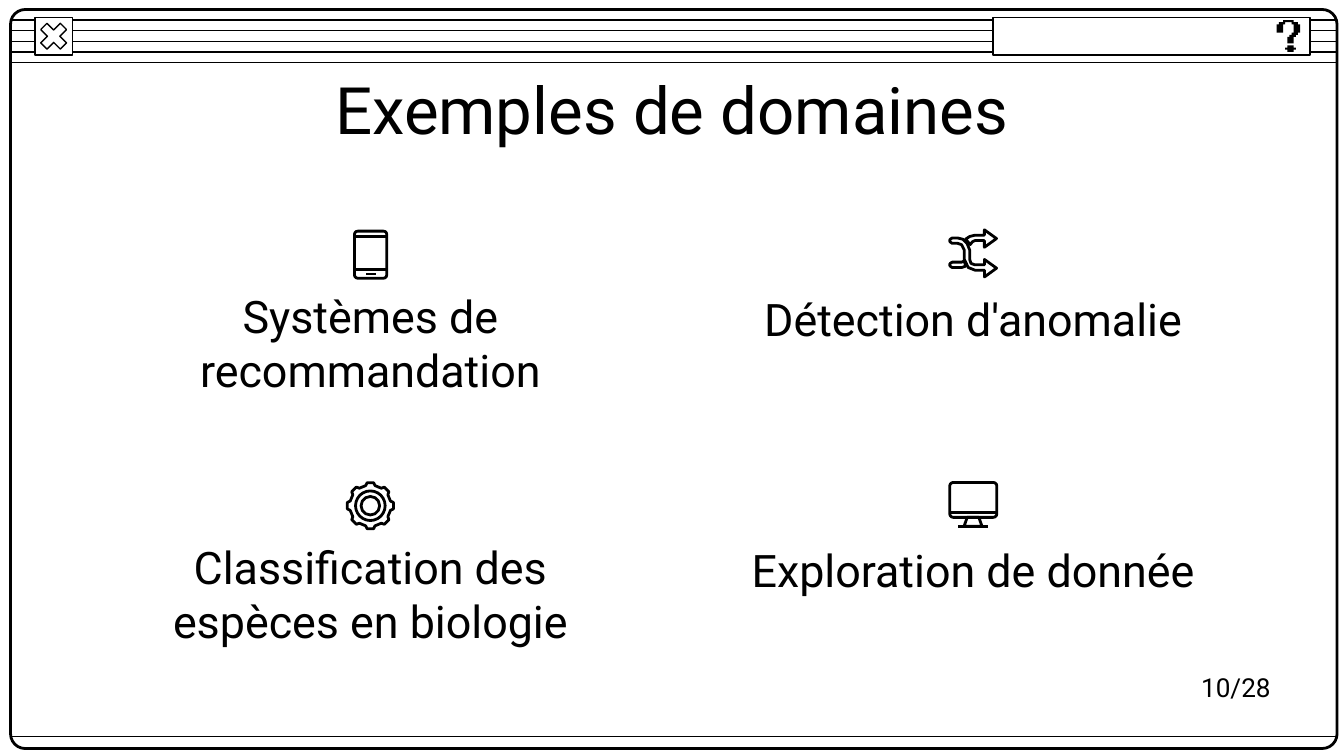
from math import cos, radians, sin

from lxml.etree import SubElement
from pptx import Presentation
from pptx.dml.color import RGBColor
from pptx.enum.shapes import MSO_CONNECTOR, MSO_SHAPE
from pptx.enum.text import MSO_ANCHOR, PP_ALIGN
from pptx.oxml.ns import qn
from pptx.util import Cm, Pt

BLACK = RGBColor(0x00, 0x00, 0x00)
WHITE = RGBColor(0xFF, 0xFF, 0xFF)
FONT = "Roboto"
THIN, BOLD = 0.75, 1.5
ICON = 0.94
PIXEL = 0.04
GRID = 0.0254

HOOK = [(3, 0), (3, 1), (1, 1), (1, 2), (0, 2), (0, 6), (3, 6), (3, 2), (4, 2), (4, 1), (7, 1),
        (7, 2), (8, 2), (8, 6), (7, 6), (7, 7), (6, 7), (6, 8), (5, 8), (5, 11), (8, 11), (8, 8),
        (9, 8), (9, 7), (10, 7), (10, 6), (11, 6), (11, 2), (10, 2), (10, 1), (8, 1), (8, 0)]
DOT = [(5, 12), (5, 13), (4, 13), (4, 14), (5, 14), (5, 15),
       (8, 15), (8, 14), (9, 14), (9, 13), (8, 13), (8, 12)]
UPPER_ARROW = [(27, 1), (36, 7.5), (27, 14), (27, 9), (20, 9), (18, 10), (16.5, 12),
               (13, 8), (16, 6), (20, 5), (27, 5)]
LOWER_TAIL = [(12, 24), (13, 28), (10, 29), (7, 29), (3, 29), (1.5, 28), (1, 27),
              (1.5, 26), (3, 25), (7, 25), (10, 25)]
LOWER_ARROW = [(7, 7), (11, 8), (14, 11), (16, 16), (16, 23), (17, 26), (20, 27), (27, 27),
               (27, 23), (36, 29.5), (27, 36), (27, 31), (20, 31), (15, 29), (12, 23), (12, 16),
               (10, 12), (7, 11), (3, 11), (1.5, 10), (1, 9), (1.5, 8), (3, 7)]


def paint(shape, fill=None, line=BLACK, weight=THIN):
    """Give a shape its fill and outline, without a shadow."""
    shape.shadow.inherit = False
    if fill is None:
        shape.fill.background()
    else:
        shape.fill.solid()
        shape.fill.fore_color.rgb = fill
    if line is None:
        shape.line.fill.background()
    else:
        shape.line.color.rgb = line
        shape.line.width = Pt(weight)


def add_preset(shapes, kind, left, top, width, height, adjust=None, **style):
    """Add a painted preset shape, measured in centimetres."""
    shape = shapes.add_shape(kind, Cm(left), Cm(top), Cm(width), Cm(height))
    if adjust is not None:
        shape.adjustments[0] = adjust
    paint(shape, **style)


def add_rule(shapes, left, right, y, weight=THIN):
    """Add a horizontal black line."""
    rule = shapes.add_connector(MSO_CONNECTOR.STRAIGHT, Cm(left), Cm(y), Cm(right), Cm(y))
    rule.line.color.rgb = BLACK
    rule.line.width = Pt(weight)
    SubElement(rule._element.spPr, qn("a:effectLst"))


def add_outline(shapes, left, top, points, unit=1, **style):
    """Add a closed polygon whose points are multiples of a unit in centimetres."""
    start, *rest = [(Cm(left + x * unit), Cm(top + y * unit)) for x, y in points]
    builder = shapes.build_freeform(*start, scale=1.0)
    builder.add_line_segments(rest, close=True)
    paint(builder.convert_to_shape(), **style)


def write(shape, text, size, left, top, width, height, align=PP_ALIGN.CENTER):
    """Place a text shape and format its single paragraph."""
    box = {"left": left, "top": top, "width": width, "height": height}
    for name, value in box.items():
        setattr(shape, name, Cm(value))
    frame = shape.text_frame
    frame.text = text
    layout = {"word_wrap": True, "vertical_anchor": MSO_ANCHOR.MIDDLE}
    layout |= {f"margin_{side}": Cm(0.25) for side in ("left", "right", "top", "bottom")}
    for name, value in layout.items():
        setattr(frame, name, value)
    paragraph = frame.paragraphs[0]
    paragraph.alignment = align
    font = paragraph.runs[0].font
    for name, value in {"name": FONT, "size": Pt(size), "bold": False}.items():
        setattr(font, name, value)
    font.color.rgb = BLACK


def draw_window(shapes, left, top, width, height):
    """Draw the window frame with its striped title bar and buttons."""
    right = left + width
    for stripe in range(5):
        add_rule(shapes, left, right, top + 0.2 + 0.2 * stripe)
    add_preset(shapes, MSO_SHAPE.ROUNDED_RECTANGLE, left, top, width, height, 0.02, weight=BOLD)
    add_rule(shapes, left, right, top + height - 0.23)
    for kind, adjust in ((MSO_SHAPE.RECTANGLE, None), (MSO_SHAPE.MATH_MULTIPLY, 0.235)):
        add_preset(shapes, kind, left + 0.46, top + 0.15, 0.71, 0.71, adjust, fill=WHITE)
    add_preset(shapes, MSO_SHAPE.RECTANGLE, right - 6.5, top + 0.15, 5.99, 0.71, fill=WHITE)
    for part in (DOT, HOOK):
        add_outline(shapes, right - 1.14, top + 0.2, part, PIXEL, fill=BLACK, line=None)


def draw_phone(shapes, left, top):
    """Draw a tablet in an icon box."""
    add_preset(shapes, MSO_SHAPE.ROUNDED_RECTANGLE, left + 0.17, top + 0.05, 0.61, 0.89,
               0.1, weight=BOLD)
    for start, end, y in ((0.17, 0.78, 0.15), (0.17, 0.78, 0.77), (0.39, 0.57, 0.86)):
        add_rule(shapes, left + start, left + end, top + y, BOLD)


def draw_shuffle(shapes, left, top):
    """Draw two crossing arrows in an icon box."""
    for part in (UPPER_ARROW, LOWER_TAIL, LOWER_ARROW):
        add_outline(shapes, left, top, part, GRID, weight=BOLD)


def draw_gear(shapes, left, top):
    """Draw an eight-toothed gear in an icon box."""
    center_x, center_y = left + ICON / 2, top + ICON / 2
    tooth = ((-13, 0.39), (-8, 0.44), (8, 0.44), (13, 0.39))
    rim = [(radius * cos(radians(turn + offset)), radius * sin(radians(turn + offset)))
           for turn in range(0, 360, 45) for offset, radius in tooth]
    add_outline(shapes, center_x, center_y, rim, weight=BOLD)
    for size in (0.56, 0.35):
        add_preset(shapes, MSO_SHAPE.OVAL, center_x - size / 2, center_y - size / 2,
                   size, size, weight=BOLD)


def draw_monitor(shapes, left, top):
    """Draw a desktop screen in an icon box."""
    add_preset(shapes, MSO_SHAPE.ROUNDED_RECTANGLE, left + 0.03, top + 0.03, 0.89, 0.66,
               0.1, weight=BOLD)
    add_rule(shapes, left + 0.03, left + 0.92, top + 0.59, BOLD)
    stand = [(0.36, 0.69), (0.58, 0.69), (0.64, 0.86), (0.3, 0.86)]
    add_outline(shapes, left, top, stand, weight=BOLD)
    add_rule(shapes, left + 0.19, left + 0.75, top + 0.86, BOLD)


def draw_domain(shapes, draw_icon, text, left, top, width, text_drop):
    """Place an icon above its centred domain name."""
    draw_icon(shapes, left + (width - ICON) / 2, top)
    name = shapes.add_textbox(0, 0, 0, 0)
    write(name, text, 24, left, top + text_drop, width, 1.47)


def build_slide(deck):
    """Build the slide of example domains."""
    slide = deck.slides.add_slide(deck.slide_layouts[5])
    shapes = slide.shapes
    slide.background.fill.solid()
    slide.background.fill.fore_color.rgb = WHITE
    draw_window(shapes, 0.2, 0.18, 25.07, 13.97)
    write(shapes.title, "Exemples de domaines", 35, 2, 1.24, 21.4, 1.6)
    domains = [
        (draw_phone, "Systèmes de recommandation", 1.42),
        (draw_shuffle, "Détection d'anomalie", 0.97),
        (draw_gear, "Classification des espèces en biologie", 1.4),
        (draw_monitor, "Exploration de donnée", 0.95),
    ]
    for index, (draw_icon, text, text_drop) in enumerate(domains):
        row, column = divmod(index, 2)
        draw_domain(shapes, draw_icon, text, 2 + 11.39 * column, 4.32 + 4.77 * row, 10, text_drop)
    page = shapes.add_textbox(0, 0, 0, 0)
    write(page, "10/28", 14, 22.45, 12.55, 1.93, 0.86, PP_ALIGN.LEFT)


def main():
    """Create and save the presentation."""
    deck = Presentation()
    deck.slide_width, deck.slide_height = Cm(25.4), Cm(14.29)
    build_slide(deck)
    deck.save("out.pptx")


if __name__ == "__main__":
    main()
